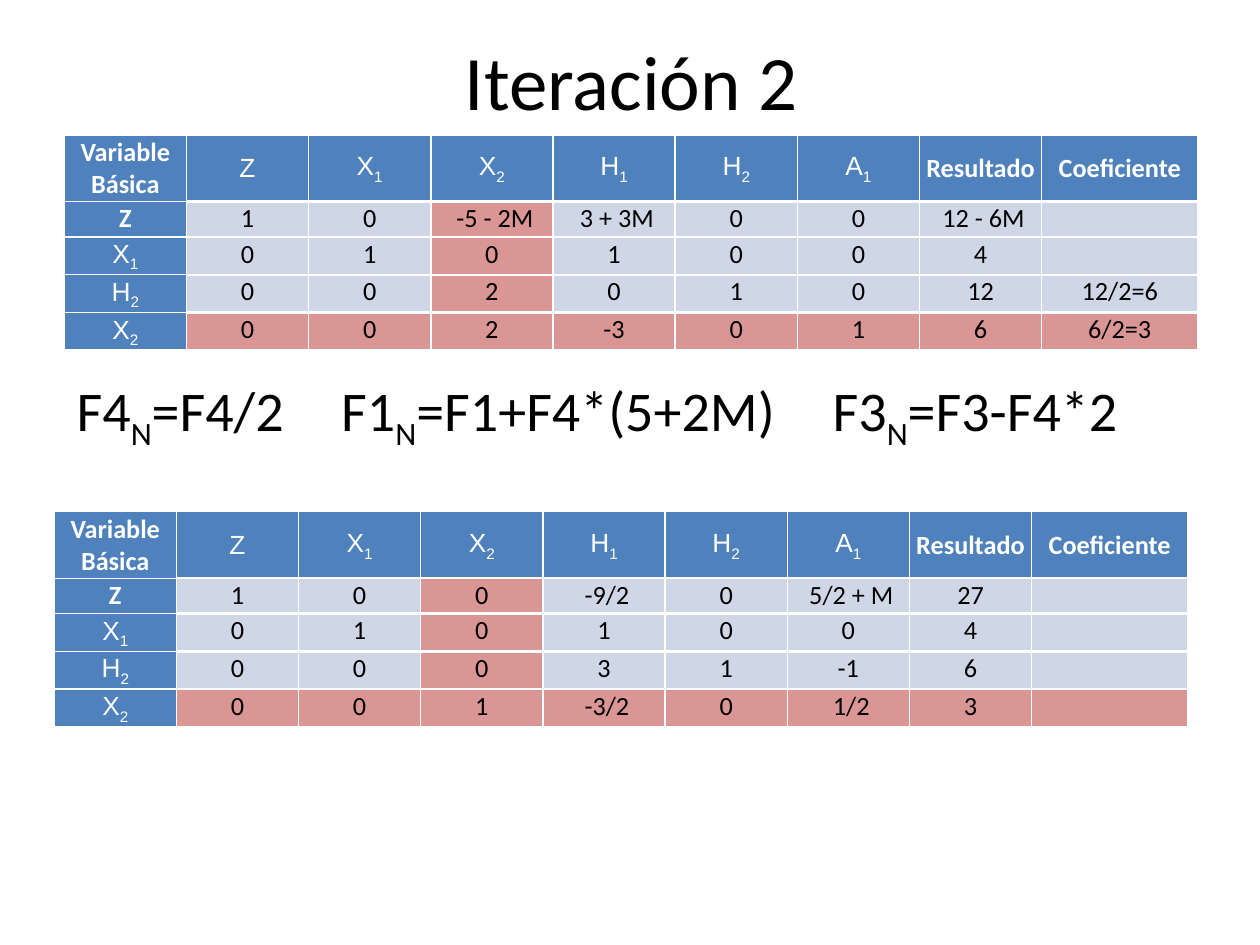
import dataclasses

import pptx
import pptx.dml.color
import pptx.enum.text
import pptx.oxml.ns
import pptx.util
from lxml import etree
from pptx.util import Inches


@dataclasses.dataclass(frozen=True)
class Theme:
    text: str = "000000"
    white: str = "FFFFFF"
    header: str = "4F81BD"
    body: str = "CFD7E7"
    pivot: str = "DA9694"
    font: str = "Calibri"
    symbol_font: str = "Arial"
    title_size: int = 44
    formula_size: int = 32
    table_size: int = 15


theme = Theme()
anchors = pptx.enum.text.MSO_ANCHOR
centered = pptx.enum.text.PP_ALIGN.CENTER
qn = pptx.oxml.ns.qn


def write(para, text, size, color, font=theme.font, bold=False):
    first, *marked = text.split("_")
    pieces = [(first, False)]
    for part in marked:
        pieces += [(part[0], True), (part[1:], False)]
    for piece, subscript in pieces:
        if not piece:
            continue
        span = para.add_run()
        span.text = piece
        span.font.size = pptx.util.Pt(size)
        span.font.name = font
        span.font.bold = bold
        span.font.color.rgb = pptx.dml.color.RGBColor.from_string(color)
        if subscript:
            span.font._element.set("baseline", "-25000")


def paint_cell(cell, fill, borders):
    properties = cell._tc.get_or_add_tcPr()
    for side, width in borders.items():
        line = etree.SubElement(properties, qn(f"a:{side}"), w=str(pptx.util.Pt(width)))
        solid = etree.SubElement(line, qn("a:solidFill"))
        etree.SubElement(solid, qn("a:srgbClr"), val=theme.white)
    cell.fill.solid()
    cell.fill.fore_color.rgb = pptx.dml.color.RGBColor.from_string(fill)


deck = pptx.Presentation()
deck.slide_width = Inches(10)
deck.slide_height = Inches(7.5)
page = deck.slides.add_slide(deck.slide_layouts[5])

title = page.shapes.title
title.left, title.top = Inches(0.51), Inches(0.01)
title.width, title.height = Inches(9), Inches(1.25)
formulas = page.shapes.add_textbox(Inches(0.51), Inches(2.88), Inches(9), Inches(0.87))
for box, anchor in ((title, anchors.MIDDLE), (formulas, anchors.TOP)):
    frame = box.text_frame
    frame.word_wrap = True
    frame.vertical_anchor = anchor
    frame.margin_left = frame.margin_right = Inches(0.1)
    frame.margin_top = frame.margin_bottom = Inches(0.1)
title.text_frame.paragraphs[0].alignment = centered
write(title.text_frame.paragraphs[0], "Iteración 2", theme.title_size, theme.text)
write(formulas.text_frame.paragraphs[0],
      "F4_N=F4/2\t F1_N=F1+F4*(5+2M)\tF3_N=F3-F4*2", theme.formula_size, theme.text)

headings = ["Variable Básica", "Z", "X_1", "X_2", "H_1", "H_2", "A_1", "Resultado", "Coeficiente"]
before = [
    ["Z", "1", "0", " -5 - 2M", " 3 + 3M", "0", "0", " 12 - 6M", ""],
    ["X_1", "0", "1", "0", "1", "0", "0", "4", ""],
    ["H_2", "0", "0", "2", "0", "1", "0", "12", "12/2=6"],
    ["X_2", "0", "0", "2", "-3", "0", "1", "6", "6/2=3"],
]
after = [
    ["Z", "1", "0", "0", " -9/2", "0", " 5/2 + M", "27", ""],
    ["X_1", "0", "1", "0", "1", "0", "0", "4", ""],
    ["H_2", "0", "0", "0", "3", "1", "-1", "6", ""],
    ["X_2", "0", "0", "1", " -3/2", "0", " 1/2", "3", ""],
]
column_widths = [0.97] * 8 + [1.24]
row_heights = [0.53, 0.28, 0.3, 0.3, 0.3]
pivot_row, pivot_column = 4, 3

for left, top, values in ((0.51, 1.07, before), (0.43, 4.06, after)):
    table = page.shapes.add_table(
        len(row_heights), len(column_widths), Inches(left), Inches(top),
        Inches(sum(column_widths)), Inches(sum(row_heights))).table
    for column, width in zip(table.columns, column_widths):
        column.width = Inches(width)
    for row, height in zip(table.rows, row_heights):
        row.height = Inches(height)
    for r, entries in enumerate([headings] + values):
        for c, text in enumerate(entries):
            cell = table.cell(r, c)
            is_header = r == 0 or c == 0
            is_symbol = "_" in text or (r == 0 and text == "Z")
            cell.margin_left = cell.margin_right = cell.margin_top = Inches(0.01)
            cell.margin_bottom = 0
            cell.vertical_anchor = anchors.MIDDLE if r == 0 or is_symbol else anchors.TOP
            if is_header:
                fill = theme.header
            elif r == pivot_row or c == pivot_column:
                fill = theme.pivot
            else:
                fill = theme.body
            paint_cell(cell, fill, {
                "lnL": 1,
                "lnR": 1,
                "lnT": 1 if is_header else 1.5,
                "lnB": 1 if c == 0 and r < pivot_row else 1.5,
            })
            para = cell.text_frame.paragraphs[0]
            para.alignment = centered
            write(para, text, theme.table_size,
                  theme.white if is_header else theme.text,
                  theme.symbol_font if is_symbol else theme.font,
                  is_header and not is_symbol)
            if not text:
                etree.SubElement(para._p, qn("a:endParaRPr"), sz=str(theme.table_size * 100))

deck.save("out.pptx")
